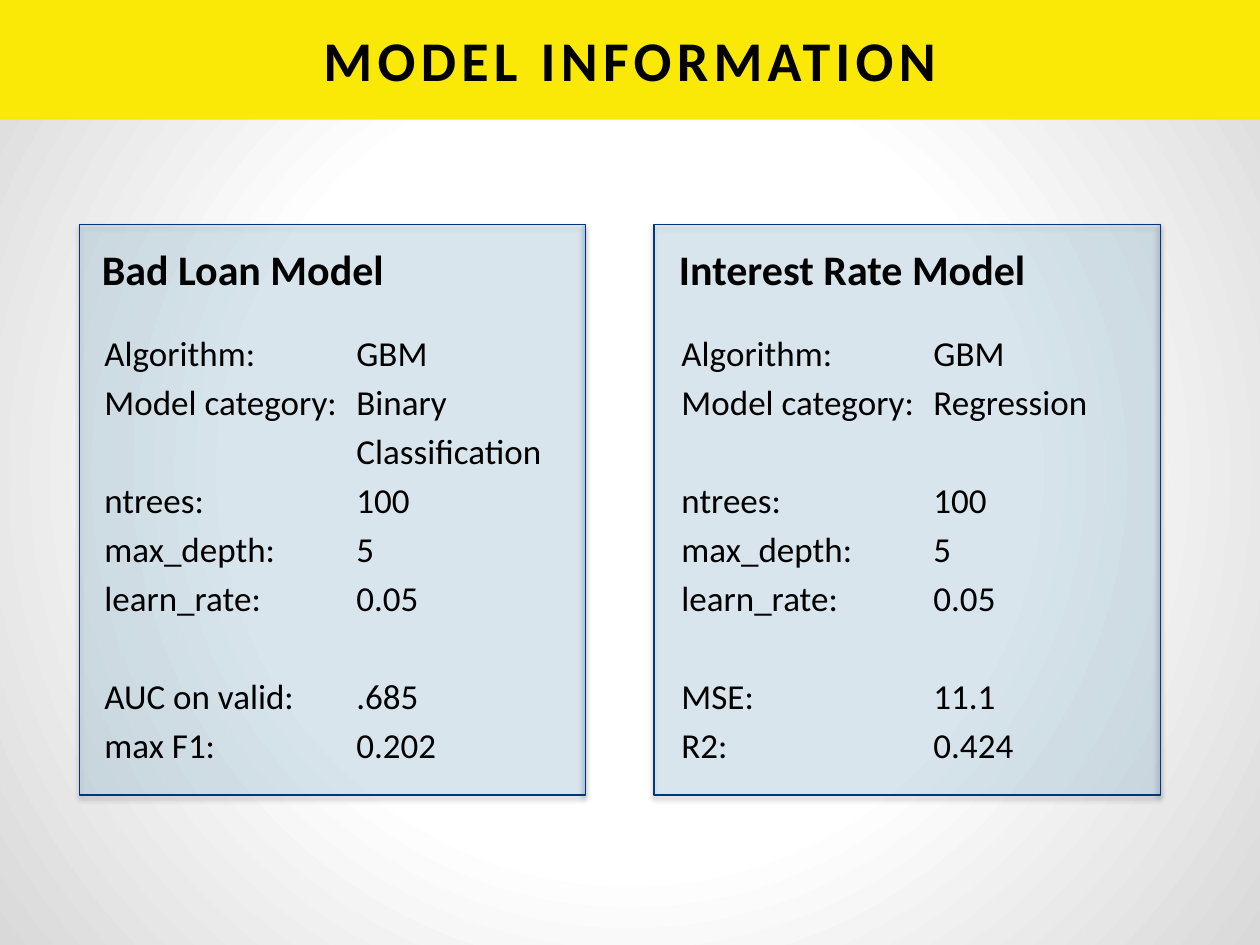
from lxml.etree import SubElement
from pptx import Presentation
from pptx.dml.color import RGBColor
from pptx.enum.shapes import MSO_SHAPE
from pptx.enum.text import MSO_ANCHOR, PP_ALIGN
from pptx.oxml.ns import qn
from pptx.util import Inches, Pt

BAD = [
    ("Algorithm:", "GBM"), ("Model category:", "Binary"),
    ("", "Classification"), ("ntrees:", "100"), ("max_depth:", "5"),
    ("learn_rate:", "0.05"), None, ("AUC on valid:", ".685"),
    ("max F1:", "0.202"),
]
RATE = [
    ("Algorithm:", "GBM"), ("Model category:", "Regression"), None,
    ("ntrees:", "100"), ("max_depth:", "5"), ("learn_rate:", "0.05"),
    None, ("MSE:", "11.1"), ("R2:", "0.424"),
]


def color(code):
    return RGBColor.from_string(code)


def add(node, tag, **attrs):
    return SubElement(node, qn(tag), {k: str(v) for k, v in attrs.items()})


def tint(node, code, alpha):
    add(add(node, "a:srgbClr", val=code), "a:alpha", val=alpha * 1000)


def set_stops(grad, stops):
    items = grad.find(qn("a:gsLst"))
    for old in list(items):
        items.remove(old)
    for pos, code, alpha in stops:
        tint(add(items, "a:gs", pos=pos * 1000), code, alpha)


def paint_back(slide):
    fill = slide.background.fill
    fill.gradient()
    grad = slide.background._cSld.find(".//" + qn("a:gradFill"))
    set_stops(grad, [(50, "FFFFFF", 100), (100, "D9D9D9", 41)])
    grad.remove(grad.find(qn("a:lin")))
    ring = add(grad, "a:path", path="circle")
    add(ring, "a:fillToRect", l=50000, t=50000, r=50000, b=50000)


def add_rect(slide, left, top, width, height):
    shape = slide.shapes.add_shape(
        MSO_SHAPE.RECTANGLE, Inches(left), Inches(top),
        Inches(width), Inches(height))
    shape.shadow.inherit = False
    return shape


def add_band(slide):
    band = add_rect(slide, 0, 0, 10, 0.95)
    band.fill.solid()
    band.fill.fore_color.rgb = color("FAE807")
    band.line.fill.background()


def add_panel(slide, left):
    panel = add_rect(slide, left, 1.78, 4.02, 4.53)
    panel.fill.gradient()
    panel.fill.gradient_angle = 0
    props = panel._element.spPr
    set_stops(props.find(qn("a:gradFill")),
              [(99, "A1D7F2", 24), (100, "ABB3DC", 100)])
    panel.line.color.rgb = color("043579")
    panel.line.width = Pt(0.75)
    shade = add(props.find(qn("a:effectLst")), "a:outerShdw",
                blurRad=Pt(3.1), dist=Pt(1.8), dir=5400000, rotWithShape=0)
    tint(shade, "000000", 35)


def add_text(slide, box, lines, size, bold=False, anchor=MSO_ANCHOR.TOP):
    shape = slide.shapes.add_textbox(*[Inches(v) for v in box])
    frame = shape.text_frame
    frame.word_wrap = True
    frame.vertical_anchor = anchor
    frame.text = "\n".join(lines)
    for para in frame.paragraphs:
        for run in para.runs:
            run.font.name = "Calibri"
            run.font.size = Pt(size)
            run.font.bold = bold
            run.font.color.rgb = color("000000")
    return frame


def add_title(slide, text):
    frame = add_text(slide, (0.5, -0.01, 9, 0.96), [text], 32, True,
                     MSO_ANCHOR.MIDDLE)
    para = frame.paragraphs[0]
    para.alignment = PP_ALIGN.CENTER
    para.runs[0].font._element.set("spc", "300")


def add_facts(slide, left, rows):
    facts = [row for row in rows if row]
    frame = add_text(slide, (left, 2.38, 4.42, 4.32),
                     ["\t".join(row) for row in facts], 20)
    frame.margin_top = Inches(0.25)
    paras = iter(frame.paragraphs)
    gap = 0
    for row in rows:
        if row is None:
            gap = 28
            continue
        para = next(paras)
        if row is not rows[0]:
            para.space_before = Pt(4 + gap)
        gap = 0
        tabs = add(para._p.get_or_add_pPr(), "a:tabLst")
        add(tabs, "a:tab", pos=Inches(2), algn="l")


def add_model(slide, left, name, rows):
    add_text(slide, (left, 1.68, 4.42, 0.7), [name], 24, True,
             MSO_ANCHOR.BOTTOM)
    add_facts(slide, left + 0.02, rows)


def main():
    deck = Presentation()
    deck.slide_width, deck.slide_height = Inches(10), Inches(7.5)
    slide = deck.slides.add_slide(deck.slide_layouts[6])
    paint_back(slide)
    add_band(slide)
    for left in (5.19, 0.63):
        add_panel(slide, left)
    add_title(slide, "MODEL INFORMATION")
    add_model(slide, 0.71, "Bad Loan Model", BAD)
    add_model(slide, 5.29, "Interest Rate Model", RATE)
    deck.save("out.pptx")


if __name__ == "__main__":
    main()
